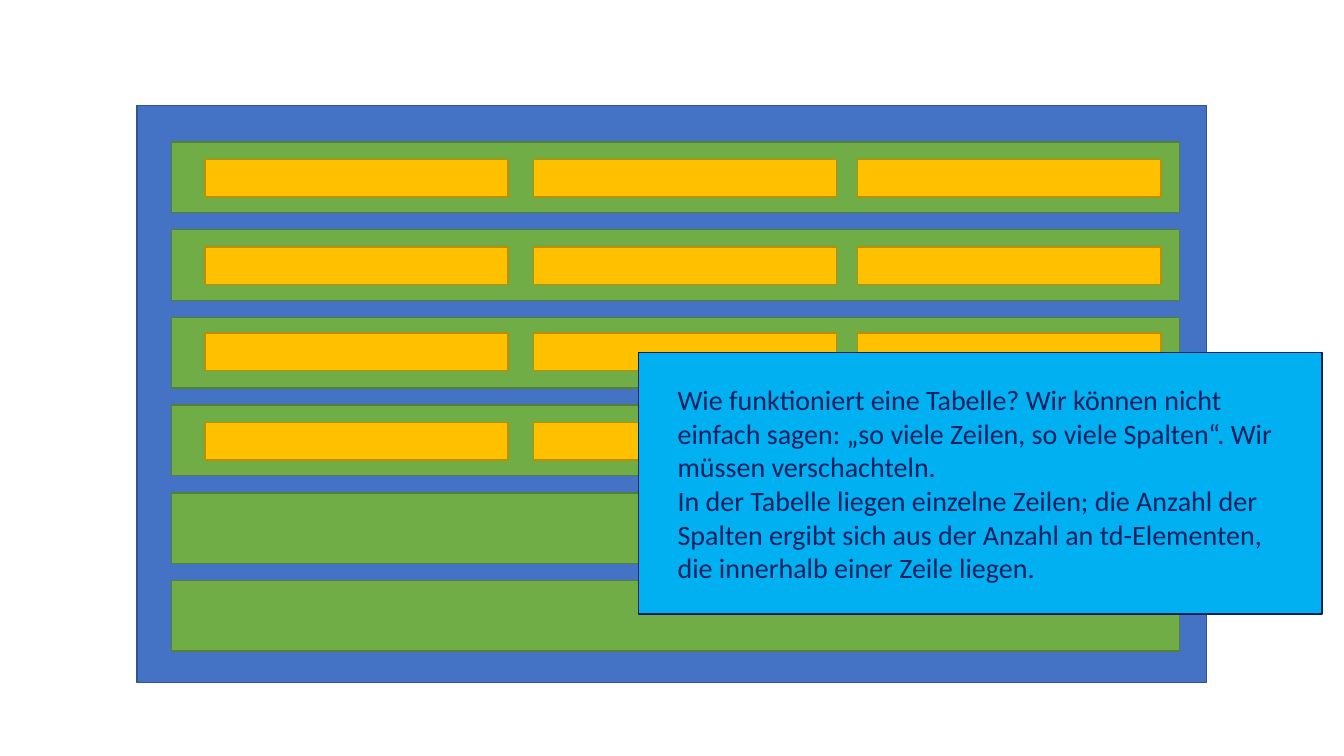
import pptx
import pptx.util
import pptx.dml.color
import pptx.enum.shapes
import pptx.enum.text

Pt = pptx.util.Pt
RGB = pptx.dml.color.RGBColor.from_string

# Fill and line colours per part, and type
THEME = {
    "table": ("4472C4", "325491"),
    "row": ("70AD47", "538035"),
    "cell": ("FFC000", "BD8E00"),
    "note": ("00B0F0", "002060"),
    "text": {"name": "Calibri", "size": Pt(20)},
    "text_color": "002060",
}

deck = pptx.Presentation()
deck.slide_width, deck.slide_height = Pt(960), Pt(540)
slide = deck.slides.add_slide(deck.slide_layouts[6])


def add_box(part, left, top, width, height):
    box = slide.shapes.add_shape(
        pptx.enum.shapes.MSO_SHAPE.RECTANGLE,
        Pt(left), Pt(top), Pt(width), Pt(height))
    fill, line = THEME[part]
    box.shadow.inherit = False
    box.fill.solid()
    box.fill.fore_color.rgb = RGB(fill)
    box.line.color.rgb = RGB(line)
    box.line.width = Pt(1)
    return box


# Table
add_box("table", 98, 75.6, 764, 412)

# Six evenly spaced rows
ROW_TOP, ROW_PITCH = 101.5, 62.65
for row in range(6):
    add_box("row", 122.4, ROW_TOP + row * ROW_PITCH, 720, 50.4)

# Cells: the fourth row has only two
CELL_LEFTS = (146.3, 381, 612.7)
for cell_top, count in ((114, 3), (176.4, 3), (237.8, 3), (301.7, 2)):
    for cell_left in CELL_LEFTS[:count]:
        add_box("cell", cell_left, cell_top, 216.7, 26.8)

# Explanation
explanation = add_box("note", 456, 252, 488.3, 186.6).text_frame
frame_format = {
    "word_wrap": True,
    "vertical_anchor": pptx.enum.text.MSO_ANCHOR.MIDDLE,
    "margin_left": Pt(28), "margin_right": Pt(28),
    "margin_top": Pt(3.6), "margin_bottom": Pt(3.6),
}
for key, value in frame_format.items():
    setattr(explanation, key, value)

explanation.text = (
    "Wie funktioniert eine Tabelle? Wir können nicht einfach sagen: "
    "„so viele Zeilen, so viele Spalten“. Wir müssen verschachteln.\n"
    "In der Tabelle liegen einzelne Zeilen; die Anzahl der Spalten ergibt sich "
    "aus der Anzahl an td-Elementen, die innerhalb einer Zeile liegen.")
for paragraph in explanation.paragraphs:
    paragraph.alignment = pptx.enum.text.PP_ALIGN.LEFT
    for run in paragraph.runs:
        for key, value in THEME["text"].items():
            setattr(run.font, key, value)
        run.font.color.rgb = RGB(THEME["text_color"])

deck.save("out.pptx")
